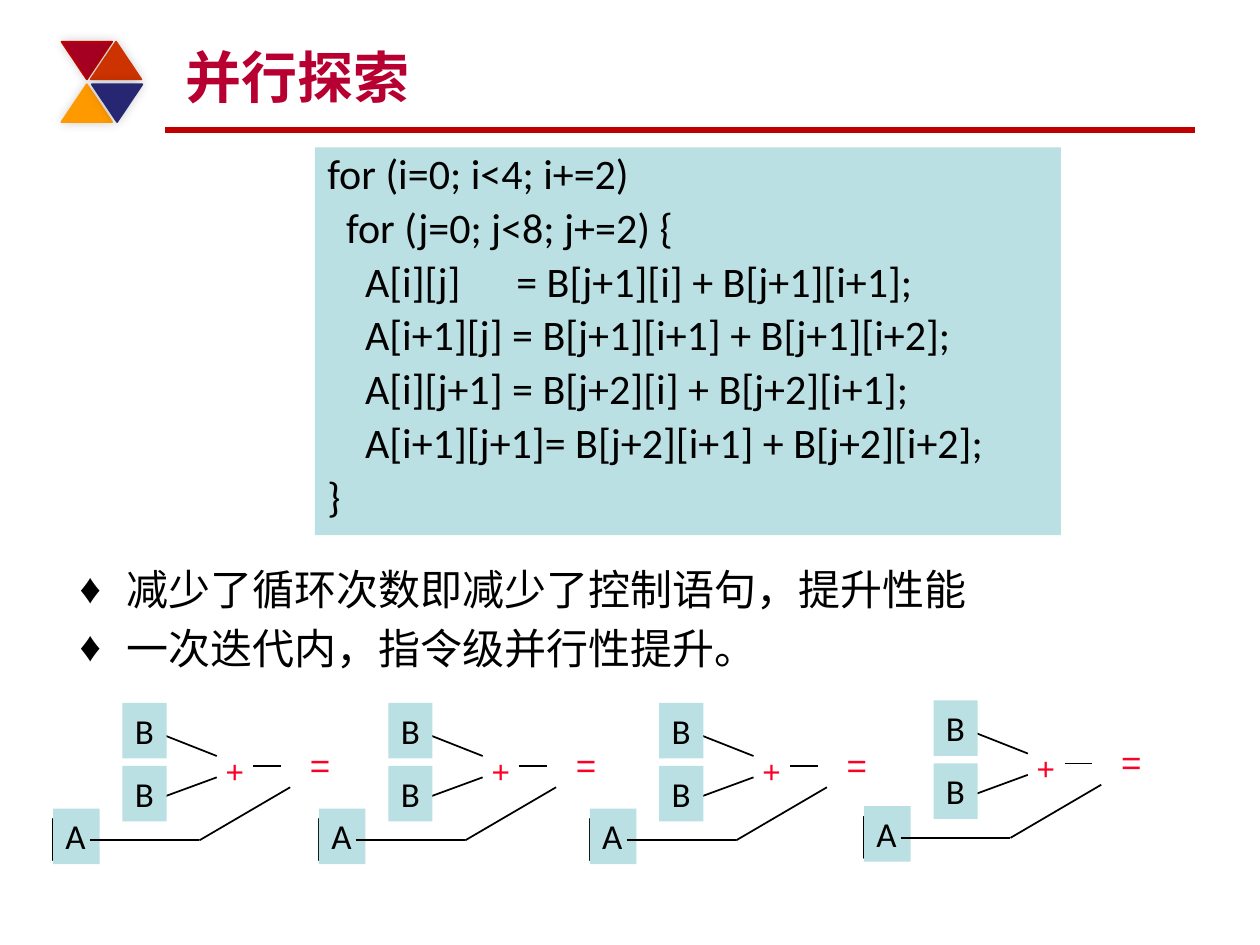
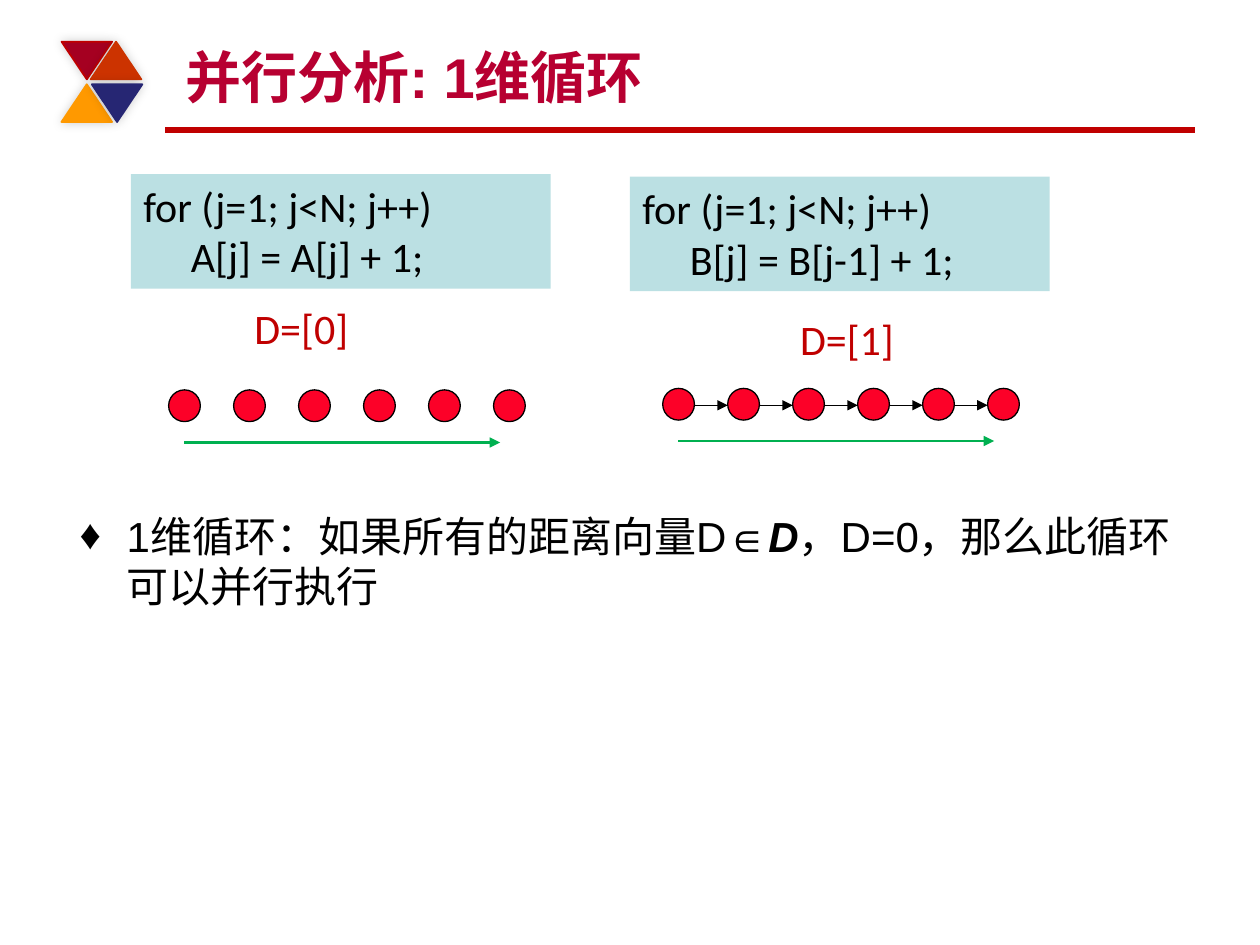
from lxml import etree
from pptx import Presentation
from pptx.dml.color import RGBColor
from pptx.enum.shapes import MSO_CONNECTOR, MSO_SHAPE
from pptx.enum.text import MSO_ANCHOR, MSO_AUTO_SIZE, PP_ALIGN
from pptx.oxml.ns import qn
from pptx.util import Cm, Pt

STRAIGHT = MSO_CONNECTOR.STRAIGHT
RECT, OVAL, TRIANGLE = MSO_SHAPE.RECTANGLE, MSO_SHAPE.OVAL, MSO_SHAPE.ISOSCELES_TRIANGLE
LEFT, TOP, BOTTOM = PP_ALIGN.LEFT, MSO_ANCHOR.TOP, MSO_ANCHOR.BOTTOM
NO_FIT, GROW = MSO_AUTO_SIZE.NONE, MSO_AUTO_SIZE.SHAPE_TO_FIT_TEXT

BLACK = RGBColor(0x00, 0x00, 0x00)
TITLE_RED = RGBColor(0xB7, 0x00, 0x31)
RULE_RED = RGBColor(0xC0, 0x00, 0x00)
BRIGHT_RED = RGBColor(0xFC, 0x01, 0x28)
PALE_BLUE = RGBColor(0xBB, 0xE0, 0xE3)
GREEN = RGBColor(0x00, 0x99, 0x00)
TIME_GREEN = RGBColor(0x00, 0xB0, 0x50)
MAROON = RGBColor(0xA5, 0x00, 0x21)
RUST = RGBColor(0xCC, 0x33, 0x00)
ORANGE = RGBColor(0xFF, 0x99, 0x00)
NAVY = RGBColor(0x26, 0x26, 0x73)

TEXT_FONT, CODE_FONT = "Arial", "Calibri"
BULLET_INDENT = Cm(0.95)
ITEM_GAP = Pt(4.8)

# Corner motif: left, top, rotation, fill, outline
MOTIF = [
    (1.24, 0.84, 180, MAROON, RULE_RED),
    (1.83, 0.84, 0, RUST, RUST),
    (1.24, 1.70, 0, ORANGE, ORANGE),
    (1.85, 1.70, 180, NAVY, NAVY),
]


def add_xml(parent, tag, **attributes):
    return etree.SubElement(parent, qn(tag), attributes)


class Deck:
    def __init__(self):
        self.prs = Presentation()
        self.prs.slide_width, self.prs.slide_height = Cm(25.4), Cm(19.05)
        self.slide = self.canvas = None

    def new_slide(self, title):
        self.slide = self.prs.slides.add_slide(self.prs.slide_layouts[1])
        self.canvas = self.slide.shapes
        self.line(3.33, 2.62, 24.08, 2.62, RULE_RED, 3)
        for left, top, rotation, fill, outline in MOTIF:
            piece = self.shape(TRIANGLE, left, top, 1.02, 0.76, fill, outline)
            piece.rotation = rotation
            self.soft_shadow(piece)
        heading = self.slide.shapes.title
        self.place(heading, 3.48, 0.64, 20.32, 1.7)
        frame = heading.text_frame
        frame.text = title
        frame.auto_size, frame.vertical_anchor = NO_FIT, BOTTOM
        self.style(frame.paragraphs[0], TEXT_FONT, 32, TITLE_RED, True)

    def start_group(self):
        self.canvas = self.slide.shapes.add_group_shape().shapes

    def end_group(self):
        self.canvas = self.slide.shapes

    @staticmethod
    def place(item, left, top, width, height):
        item.left, item.top = Cm(left), Cm(top)
        item.width, item.height = Cm(width), Cm(height)

    @staticmethod
    def style(paragraph, font, size, color, bold=False):
        paragraph.alignment = LEFT
        paragraph.font.name, paragraph.font.size = font, Pt(size)
        paragraph.font.color.rgb, paragraph.font.bold = color, bold

    @staticmethod
    def soft_shadow(shape):
        effects = shape._element.spPr.find(qn("a:effectLst"))
        shadow = add_xml(effects, "a:outerShdw", blurRad=str(Pt(6)), dist="0",
                         dir="18900000", algn="bl", rotWithShape="0")
        color = add_xml(shadow, "a:srgbClr", val=str(BLACK))
        add_xml(color, "a:alpha", val="20000")

    def shape(self, preset, left, top, width, height, fill, outline=None, weight=1):
        shape = self.canvas.add_shape(preset, Cm(left), Cm(top), Cm(width), Cm(height))
        shape.shadow.inherit = False
        shape.fill.solid()
        shape.fill.fore_color.rgb = fill
        if outline is None:
            shape.line.fill.background()
        else:
            shape.line.color.rgb = outline
            shape.line.width = Pt(weight)
        return shape

    def line(self, x1, y1, x2, y2, color=BLACK, weight=1, arrow=False):
        line = self.canvas.add_connector(STRAIGHT, Cm(x1), Cm(y1), Cm(x2), Cm(y2))
        line.line.color.rgb, line.line.width = color, Pt(weight)
        if arrow:
            add_xml(line.line._get_or_add_ln(), "a:tailEnd", type="triangle")
        add_xml(line._element.spPr, "a:effectLst")

    def label(self, text, left, top, width, height, font, size, color, fill=None):
        """One unwrapped line of text, on a filled tile if fill is given."""
        if fill is None:
            item = self.canvas.add_textbox(Cm(left), Cm(top), Cm(width), Cm(height))
        else:
            item = self.shape(RECT, left, top, width, height, fill)
        frame = item.text_frame
        frame.text = text
        frame.word_wrap, frame.auto_size, frame.vertical_anchor = False, GROW, TOP
        self.style(frame.paragraphs[0], font, size, color)

    def code(self, lines, left, top, width, height, step, loose=False, tab=None):
        """Code panel; lines are (level, text) and step is the indent of a level."""
        frame = self.shape(RECT, left, top, width, height, PALE_BLUE).text_frame
        frame.word_wrap, frame.vertical_anchor = True, TOP
        frame.auto_size = NO_FIT if loose else GROW
        for i, (level, text) in enumerate(lines):
            paragraph = frame.paragraphs[0] if i == 0 else frame.add_paragraph()
            paragraph.text = text
            if loose:
                paragraph.line_spacing, paragraph.space_before = 0.9, ITEM_GAP
            properties = paragraph._p.get_or_add_pPr()
            properties.set("marL", "0")
            properties.set("indent", str(Cm(level * step)))
            if tab and "\t" in text:
                stops = add_xml(properties, "a:tabLst")
                add_xml(stops, "a:tab", pos=str(Cm(tab)), algn="l")
            self.style(paragraph, CODE_FONT, 24, BLACK)

    def bullets(self, items, top, height):
        """Each item is a list of (text, emphasised) runs."""
        body = self.slide.placeholders[1]
        self.place(body, 1.35, top, 22.73, height)
        frame = body.text_frame
        frame.auto_size, frame.vertical_anchor = NO_FIT, TOP
        for i, runs in enumerate(items):
            paragraph = frame.paragraphs[0] if i == 0 else frame.add_paragraph()
            for text, emphasised in runs:
                run = paragraph.add_run()
                run.text = text
                if emphasised:
                    run.font.bold = run.font.italic = True
            paragraph.space_before = ITEM_GAP
            properties = paragraph._p.get_or_add_pPr()
            properties.set("marL", str(BULLET_INDENT))
            properties.set("indent", str(-BULLET_INDENT))
            add_xml(properties, "a:buChar", char="♦")
            self.style(paragraph, TEXT_FONT, 24, BLACK)

    def operation(self, x, y):
        """Two B values are added and stored in A."""
        self.start_group()
        self.shape(RECT, x, y + 2.34, 0.74, 0.84, GREEN, BLACK)
        self.line(x + 2.21, y + 0.64, x + 3.3, y + 1.07)
        self.line(x + 2.21, y + 1.9, x + 3.3, y + 1.5)
        self.label("+", x + 3.23, y + 0.86, 0.91, 1.02, TEXT_FONT, 18, BRIGHT_RED)
        for name, dx, dy, width in [("B", 1.4, 0, 0.89), ("B", 1.4, 1.27, 0.89),
                                    ("A", 0, 2.13, 0.94)]:
            self.label(name, x + dx, y + dy, width, 1.12, CODE_FONT, 20, BLACK, PALE_BLUE)
        self.line(x + 0.74, y + 2.77, x + 2.95, y + 2.77)
        self.line(x + 2.95, y + 2.77, x + 4.78, y + 1.7)
        self.line(x + 4.04, y + 1.27, x + 4.6, y + 1.27)
        self.label("=", x + 4.93, y + 0.69, 0.94, 1.12, TEXT_FONT, 20, BRIGHT_RED)
        self.end_group()

    def iterations(self, x, y, dependent):
        """Six iterations over a time arrow, chained if dependent."""
        count, pitch, size = 6, 1.31, 0.64
        for i in range(count):
            self.shape(OVAL, x + i * pitch, y, size, size, BRIGHT_RED, BLACK, 0.75)
        self.line(x + 0.31, y + 1.06, x + 6.68, y + 1.06, TIME_GREEN, 1.5, arrow=True)
        if dependent:
            for i in range(count - 1):
                start = x + i * pitch + size
                self.line(start + 0.02, y + 0.34, x + (i + 1) * pitch, y + 0.34,
                          BLACK, 0.75, arrow=True)


deck = Deck()

# Slide 1: unrolled loop and its four independent operations
deck.new_slide("并行探索")
deck.bullets([[("减少了循环次数即减少了控制语句，提升性能", False)],
              [("一次迭代内，指令级并行性提升。", False)]], 11.23, 3.61)
deck.code([
    (0, "for (i=0; i<4; i+=2)"),
    (1, "for (j=0; j<8; j+=2) {"),
    (2, "A[i][j]\t= B[j+1][i] + B[j+1][i+1];"),
    (2, "A[i+1][j] = B[j+1][i+1] + B[j+1][i+2];"),
    (2, "A[i][j+1] = B[j+2][i] + B[j+2][i+1];"),
    (2, "A[i+1][j+1]= B[j+2][i+1] + B[j+2][i+2];"),
    (0, "}"),
], 6.35, 2.97, 15.04, 7.82, step=0.38, loose=True, tab=3.28)
for x, y in [(1.07, 14.17), (6.43, 14.17), (11.89, 14.17), (17.42, 14.12)]:
    deck.operation(x, y)

# Slide 2: independent and dependent one-dimensional loops
deck.new_slide("并行分析: 1维循环")
deck.bullets([[("1维循环：如果所有的距离向量D∈", False), ("D", True),
               ("，D=0，那么此循环可以并行执行", False)]], 10.16, 8.05)
LOOP_HEAD = (0, "for (j=1; j<N; j++)")
deck.code([LOOP_HEAD, (1, "A[j] = A[j] + 1;")], 2.64, 3.51, 8.46, 2.31, step=0.96)
deck.code([LOOP_HEAD, (1, "B[j] = B[j-1] + 1;")], 12.7, 3.56, 8.46, 2.31, step=0.96)
deck.label("D=[0]", 4.88, 5.97, 2.41, 1.27, CODE_FONT, 24, RULE_RED)
deck.label("D=[1]", 15.88, 6.2, 2.41, 1.27, CODE_FONT, 24, RULE_RED)
deck.iterations(3.4, 7.86, dependent=False)
deck.iterations(13.36, 7.83, dependent=True)

deck.prs.save("out.pptx")
